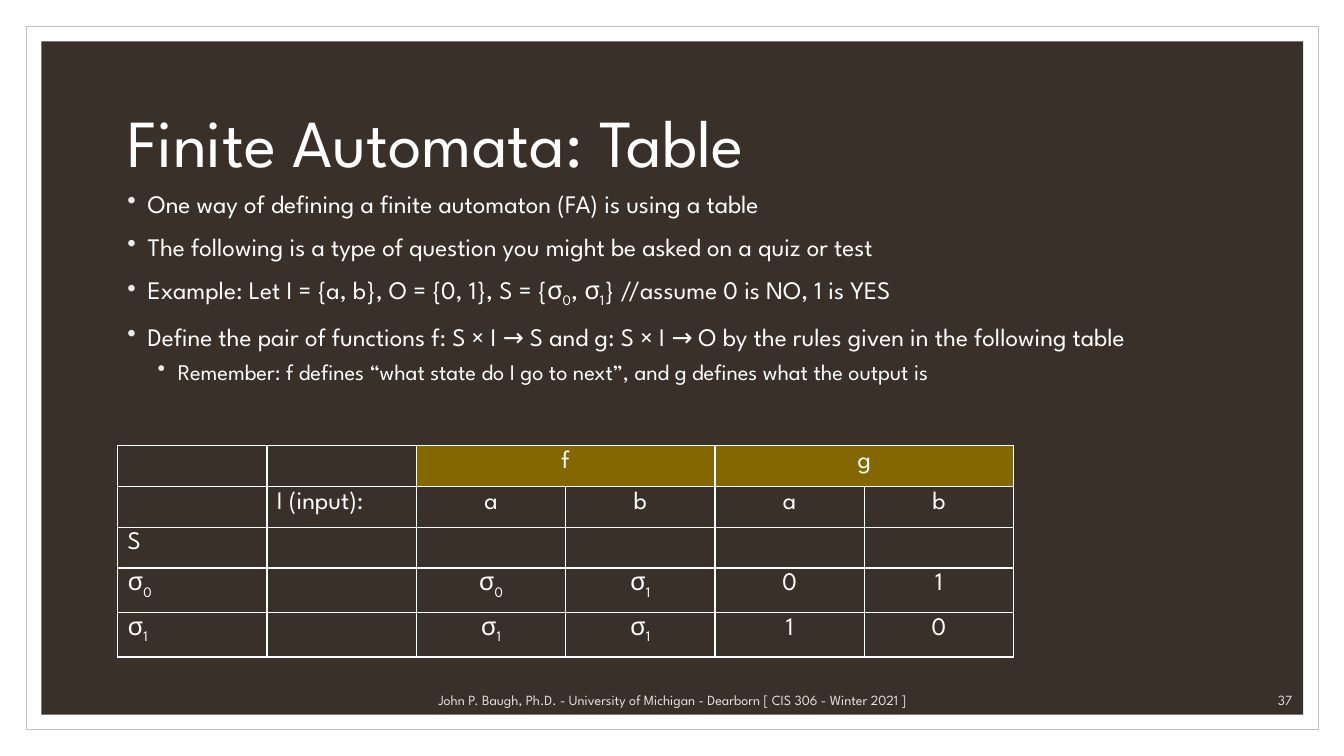
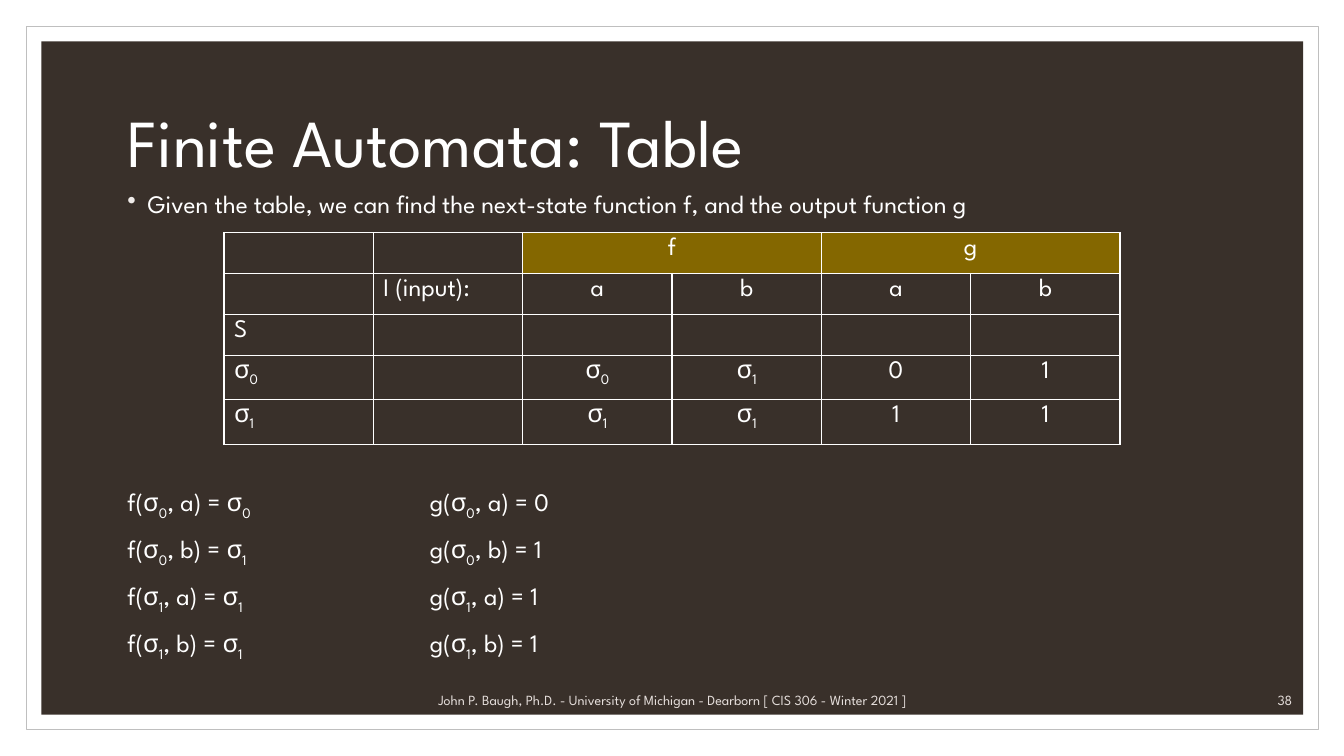
"""Build two slides that define a finite automaton with a state table."""
from dataclasses import dataclass

from lxml import etree
from pptx import Presentation
from pptx.dml.color import RGBColor
from pptx.enum import shapes, text
from pptx.oxml import ns
from pptx.util import Pt


@dataclass(frozen=True)
class Theme:
    font: str = "League Spartan"
    paper: str = "FFFFFF"
    frame: str = "BFBFBF"
    panel: str = "39302A"
    ink: str = "FFFFFF"
    bullet: str = "EFEBE9"
    footer: str = "E5DEDB"
    header: str = "846700"
    title_size: int = 48
    body_size: int = 18
    detail_size: int = 16
    footer_size: int = 10


theme = Theme()
LEFT, CENTER, RIGHT = text.PP_ALIGN.LEFT, text.PP_ALIGN.CENTER, text.PP_ALIGN.RIGHT
TOP, MIDDLE, BOTTOM = text.MSO_ANCHOR.TOP, text.MSO_ANCHOR.MIDDLE, text.MSO_ANCHOR.BOTTOM


def write(paragraph, wording, size=theme.body_size, color=theme.ink, align=LEFT):
    """Fill a paragraph; the character after an underscore is a subscript."""
    first, *others = wording.split("_")
    pieces = [(first, False)]
    for other in others:
        pieces += [(other[0], True), (other[1:], False)]
    paragraph.alignment = align
    for piece, subscript in pieces:
        if piece:
            run = paragraph.add_run()
            run.text = piece
            run.font.name = theme.font
            run.font.size = Pt(size)
            run.font.color.rgb = RGBColor.from_string(color)
            if subscript:
                run.font._element.set("baseline", "-25000")


def add_text(slide, box, lines, anchor=TOP, space=0, **style):
    """Add a text box with one paragraph per line and return its paragraphs."""
    frame = slide.shapes.add_textbox(*map(Pt, box)).text_frame
    frame.word_wrap = True
    frame.vertical_anchor = anchor
    for number, line in enumerate(lines):
        paragraph = frame.add_paragraph() if number else frame.paragraphs[0]
        paragraph.space_before = Pt(space)
        write(paragraph, line, **style)
    return frame.paragraphs


BACKDROP = [
    ((18.7, 18.7, 923, 502.6), theme.paper, theme.frame),
    ((29.5, 29.5, 901.4, 481), theme.panel, None),
]
TITLE = "Finite Automata: Table"
FOOTER = "John P. Baugh, Ph.D. - University of Michigan - Dearborn [ CIS 306 - Winter 2021 ]"
MARGIN, BODY_TOP, BODY_WIDTH = 84, 131, 792
COLUMN_WIDTH, ROW_HEIGHT = 106.67, 29.2
FORMULA_TOP, FORMULA_STEP = 344, 216

TABLE_ROWS = [
    ["", "", "f", "", "g", ""],
    ["", "I (input):", "a", "b", "a", "b"],
    ["S", "", "", "", "", ""],
    ["σ_0", "", "σ_0", "σ_1", "0", "1"],
]
PAGES = [
    {
        "number": "37",
        "bullets": [
            "One way of defining a finite automaton (FA) is using a table",
            "The following is a type of question you might be asked on a quiz or test",
            "Example: Let I = {a, b}, O = {0, 1}, S = {σ_0, σ_1} //assume 0 is NO, 1 is YES",
            "Define the pair of functions f: S × I → S and g: S × I → O "
            "by the rules given in the following table",
        ],
        "detail": "Remember: f defines “what state do I go to next”, "
                  "and g defines what the output is",
        "body_height": 170,
        "table_at": (MARGIN, 318.2),
        "last_row": ["σ_1", "", "σ_1", "σ_1", "1", "0"],
        "formulas": [],
    },
    {
        "number": "38",
        "bullets": [
            "Given the table, we can find the next-state function f, and the output function g",
        ],
        "detail": None,
        "body_height": 30,
        "table_at": (160, 166.2),
        "last_row": ["σ_1", "", "σ_1", "σ_1", "1", "1"],
        "formulas": [
            ["f(σ_0, a) = σ_0", "f(σ_0, b) = σ_1", "f(σ_1, a) = σ_1", "f(σ_1, b) = σ_1"],
            ["g(σ_0, a) = 0", "g(σ_0, b) = 1", "g(σ_1, a) = 1", "g(σ_1, b) = 1"],
        ],
    },
]

presentation = Presentation()
presentation.slide_width, presentation.slide_height = Pt(960), Pt(540)

for page in PAGES:
    slide = presentation.slides.add_slide(presentation.slide_layouts[6])

    for box, fill, line in BACKDROP:
        shape = slide.shapes.add_shape(shapes.MSO_SHAPE.RECTANGLE, *map(Pt, box))
        shape.shadow.inherit = False
        shape.fill.solid()
        shape.fill.fore_color.rgb = RGBColor.from_string(fill)
        if line:
            shape.line.color.rgb = RGBColor.from_string(line)
            shape.line.width = Pt(0.5)
        else:
            shape.line.fill.background()

    title = add_text(slide, (MARGIN, 50.4, BODY_WIDTH, 108), [TITLE], MIDDLE,
                     size=theme.title_size)
    title[0].line_spacing = 0.9

    body = add_text(slide, (MARGIN, BODY_TOP, BODY_WIDTH, page["body_height"]),
                    page["bullets"], space=9)
    if page["detail"]:
        detail = body[0]._parent.add_paragraph()
        detail.level = 1
        detail.space_before = Pt(5)
        write(detail, page["detail"], theme.detail_size)
        body = (*body, detail)
    for paragraph in body:
        properties = paragraph._p.get_or_add_pPr()
        properties.set("marL", str(Pt(36 if paragraph.level else 14.4)))
        properties.set("indent", str(Pt(-14.4)))
        color = etree.SubElement(properties, ns.qn("a:buClr"))
        etree.SubElement(color, ns.qn("a:srgbClr"), val=theme.bullet)
        etree.SubElement(properties, ns.qn("a:buChar"), char="•")

    for column, formulas in enumerate(page["formulas"]):
        add_text(slide, (MARGIN + column * FORMULA_STEP, FORMULA_TOP, FORMULA_STEP, 132),
                 formulas, space=9)

    footer_style = {"size": theme.footer_size, "color": theme.footer}
    add_text(slide, (275, 489.6, 410.4, 20.2), [FOOTER], BOTTOM, align=CENTER, **footer_style)
    add_text(slide, (815, 489.6, 115.2, 20.2), [page["number"]], BOTTOM, align=RIGHT,
             **footer_style)

    rows = TABLE_ROWS + [page["last_row"]]
    columns = len(rows[0])
    table_size = (columns * COLUMN_WIDTH, len(rows) * ROW_HEIGHT)
    table = slide.shapes.add_table(
        len(rows), columns, *map(Pt, page["table_at"] + table_size)).table
    table.first_row = table.horz_banding = False
    for row, wordings in enumerate(rows):
        table.rows[row].height = Pt(ROW_HEIGHT)
        for column, wording in enumerate(wordings):
            cell = table.cell(row, column)
            if wording:
                write(cell.text_frame.paragraphs[0], wording,
                      align=CENTER if column > 1 else LEFT)
            if row == 0 and column > 1:
                cell.fill.solid()
                cell.fill.fore_color.rgb = RGBColor.from_string(theme.header)
            else:
                cell.fill.background()
            properties = cell._tc.get_or_add_tcPr()
            for position, side in enumerate(("lnL", "lnR", "lnT", "lnB")):
                border = etree.Element(ns.qn(f"a:{side}"), w=str(Pt(1)))
                fill = etree.SubElement(border, ns.qn("a:solidFill"))
                etree.SubElement(fill, ns.qn("a:srgbClr"), val=theme.ink)
                properties.insert(position, border)
    for column in (2, 4):
        table.cell(0, column).merge(table.cell(0, column + 1))

presentation.save("out.pptx")
